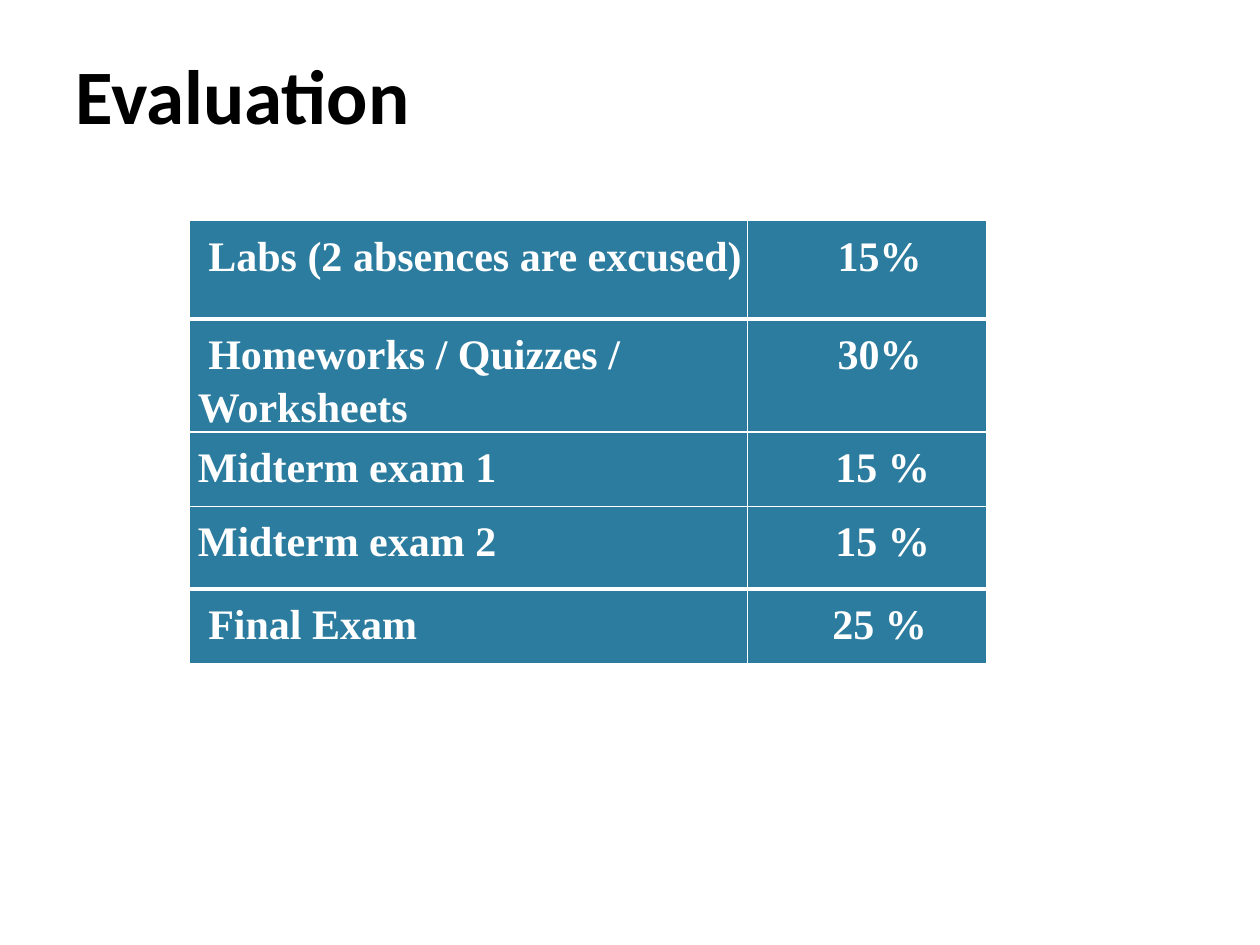
from dataclasses import dataclass

import pptx
import pptx.dml.color
import pptx.enum.text
import pptx.oxml
import pptx.oxml.ns
import pptx.util
from pptx.util import Cm, Pt

RGB = pptx.dml.color.RGBColor.from_string
ALIGN = pptx.enum.text.PP_ALIGN


@dataclass(frozen=True)
class Theme:
    ink: str = "000000"
    paper: str = "FFFFFF"
    cell: str = "2C7C9F"
    title_font: str = "Calibri"
    table_font: str = "Times New Roman"
    title_size: int = 44
    table_size: int = 24
    thin: int = 1
    thick: int = 3


THEME = Theme()

# Component, weight, first-line indent, weight indent and row height in cm
GRADING = [
    ("Labs (2 absences are excused)", "15%", 0.21, 0.51, 1.98),
    ("Homeworks / Quizzes / Worksheets", "30%", 0.21, 0.51, 2.15),
    ("Midterm exam 1", "15 %", 0, 0.63, 1.5),
    ("Midterm exam 2", "15 %", 0, 0.63, 1.67),
    ("Final Exam", "25 %", 0.21, 0.51, 1.5),
]
COLUMN_SHARES = (0.7, 0.3)
THICK_RULES_BELOW = (0, 3)


def style_run(run, font, size, color):
    run.font.name = font
    run.font.size = Pt(size)
    run.font.bold = True
    run.font.color.rgb = RGB(color)


def add_title(slide, left, top, width, height):
    title = slide.shapes.title
    title.left, title.top, title.width, title.height = left, top, width, height
    frame = title.text_frame
    frame.text = "Evaluation"
    frame.vertical_anchor = pptx.enum.text.MSO_ANCHOR.TOP
    frame.margin_top = Cm(0.2)
    heading = frame.paragraphs[0]
    heading.alignment = ALIGN.LEFT
    style_run(heading.runs[0], THEME.title_font, THEME.title_size, THEME.ink)


def set_borders(cell, top, bottom):
    """Draw the four cell borders; top and bottom are widths in points."""
    properties = cell._tc.get_or_add_tcPr()
    sides = {"L": THEME.thin, "R": THEME.thin, "T": top, "B": bottom}
    for side, width in sides.items():
        properties.append(pptx.oxml.parse_xml(
            f'<a:ln{side} {pptx.oxml.ns.nsdecls("a")} w="{Pt(width)}">'
            f'<a:solidFill><a:srgbClr val="{THEME.paper}"/></a:solidFill>'
            f'</a:ln{side}>'))


def fill_cell(cell, text, align, margin, indent):
    cell.margin_left = cell.margin_right = cell.margin_bottom = 0
    cell.margin_top = Pt(3.5)
    cell.fill.solid()
    cell.fill.fore_color.rgb = RGB(THEME.cell)
    cell.text_frame.text = text
    paragraph = cell.text_frame.paragraphs[0]
    paragraph.alignment = align
    paragraph.line_spacing = 1.15
    paragraph_properties = paragraph._p.get_or_add_pPr()
    paragraph_properties.set("marL", str(Cm(margin)))
    paragraph_properties.set("indent", str(Cm(indent)))
    style_run(paragraph.runs[0], THEME.table_font, THEME.table_size, THEME.paper)


def add_grading_table(slide, left, top, width):
    height = Cm(sum(row[-1] for row in GRADING))
    table = slide.shapes.add_table(
        len(GRADING), len(COLUMN_SHARES), left, top, width, height).table
    table.first_row = table.horz_banding = False
    for column, share in zip(table.columns, COLUMN_SHARES):
        column.width = int(width * share)

    def rule_below(index):
        return THEME.thick if index in THICK_RULES_BELOW else THEME.thin

    for index, (component, weight, first_line, weight_indent, row_height) in enumerate(GRADING):
        table.rows[index].height = Cm(row_height)
        component_cell, weight_cell = table.rows[index].cells
        for cell in (component_cell, weight_cell):
            set_borders(cell, rule_below(index - 1), rule_below(index))
        fill_cell(component_cell, component, ALIGN.LEFT, 0.18, first_line)
        fill_cell(weight_cell, weight, ALIGN.CENTER, weight_indent, 0)


def main():
    deck = pptx.Presentation()
    deck.slide_width, deck.slide_height = Cm(25.4), Cm(19.05)
    slide = deck.slides.add_slide(deck.slide_layouts[5])
    add_title(slide, Cm(1.27), Cm(0.76), Cm(22.86), Cm(3.18))
    add_grading_table(slide, Cm(3.81), Cm(4.45), Cm(16.08))
    deck.save("out.pptx")


if __name__ == "__main__":
    main()
